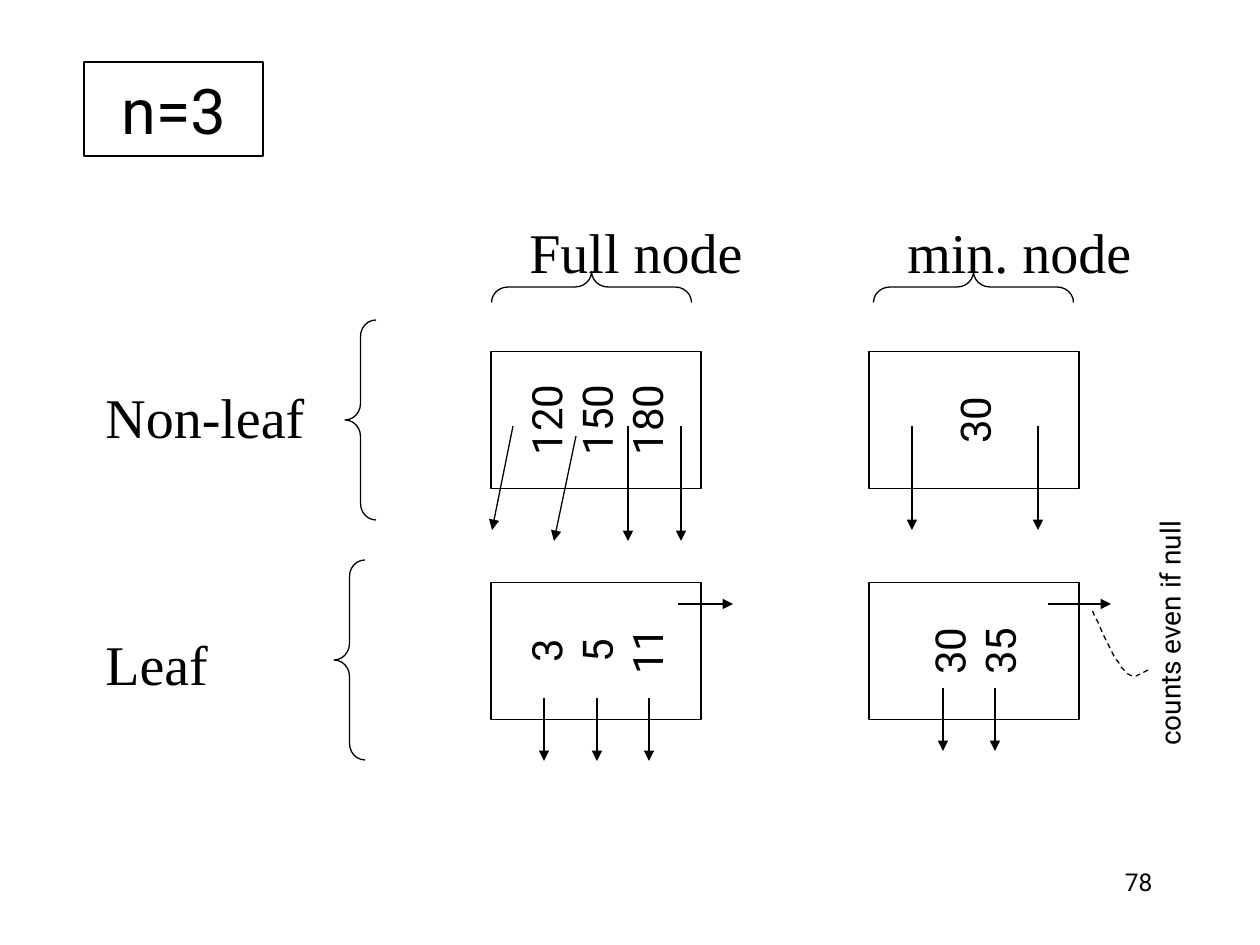
from lxml.etree import SubElement
from pptx import Presentation
from pptx.dml.color import RGBColor
from pptx.enum.dml import MSO_LINE
from pptx.enum.shapes import MSO_CONNECTOR, MSO_SHAPE
from pptx.enum.text import MSO_ANCHOR, PP_ALIGN
from pptx.oxml.ns import qn
from pptx.util import Pt

EMU_PER_PX = 914400 / 126


def px(length):
    return round(length * EMU_PER_PX)


def color(value):
    return RGBColor.from_string(value)


class NodeDiagram:
    INK, PAPER = "000000", "FFFFFF"
    SANS, SERIF = "Roboto", "Times New Roman"

    def __init__(self, slide):
        self.slide = slide

    def outline(self, line):
        line.color.rgb = color(self.INK)
        line.width = Pt(0.75)

    def set_text(self, shape, lines, size, font, align, anchor, wrap):
        frame = shape.text_frame
        frame.word_wrap = wrap
        frame.vertical_anchor = anchor
        frame.text = "\n".join(lines)
        for paragraph in frame.paragraphs:
            paragraph.alignment = align
            paragraph.font.size = Pt(size)
            paragraph.font.name = font
            paragraph.font.color.rgb = color(self.INK)
        return frame.paragraphs

    def text(self, left, top, width, height, lines, size, font=SANS,
             align=PP_ALIGN.LEFT, anchor=MSO_ANCHOR.TOP, wrap=True, rotation=0):
        box = self.slide.shapes.add_textbox(px(left), px(top), px(width), px(height))
        box.rotation = rotation
        return self.set_text(box, lines, size, font, align, anchor, wrap)

    def shape(self, kind, left, top, width, height, rotation=0):
        shape = self.slide.shapes.add_shape(kind, px(left), px(top), px(width), px(height))
        shape.shadow.inherit = False
        shape.rotation = rotation
        self.outline(shape.line)
        return shape

    def box(self, left, top, width, height, lines, size, rotation=0):
        shape = self.shape(MSO_SHAPE.RECTANGLE, left, top, width, height, rotation)
        shape.fill.solid()
        shape.fill.fore_color.rgb = color(self.PAPER)
        self.set_text(shape, lines, size, self.SANS, PP_ALIGN.CENTER, MSO_ANCHOR.MIDDLE, False)

    def node(self, center_x, center_y, keys):
        """Draw a box turned on its side, so that its keys read upwards."""
        width, height = 137, 210
        self.box(center_x - width / 2, center_y - height / 2, width, height, keys, 24, 270)

    def brace(self, left, top, rotation=0):
        shape = self.shape(MSO_SHAPE.LEFT_BRACE, left, top, 31, 200, rotation)
        shape.fill.background()
        shape.adjustments[0] = 0.53

    def arrow(self, x1, y1, x2, y2):
        connector = self.slide.shapes.add_connector(
            MSO_CONNECTOR.STRAIGHT, px(x1), px(y1), px(x2), px(y2))
        self.outline(connector.line)
        properties = connector._element.spPr
        SubElement(properties.find(qn("a:ln")), qn("a:tailEnd"), type="triangle")
        SubElement(properties, qn("a:effectLst"))

    def dashed_curve(self, start, *segments, steps=12):
        """Draw cubic segments, each given as two control points and an end."""
        points = [start]
        for controls in segments:
            corners = (points[-1], *controls)
            for step in range(1, steps + 1):
                t = step / steps
                weights = ((1 - t) ** 3, 3 * t * (1 - t) ** 2, 3 * t * t * (1 - t), t ** 3)
                points.append(tuple(sum(weight * corner[axis] for weight, corner
                                        in zip(weights, corners)) for axis in (0, 1)))
        builder = self.slide.shapes.build_freeform(*start, scale=EMU_PER_PX)
        builder.add_line_segments(points[1:], close=False)
        shape = builder.convert_to_shape()
        shape.shadow.inherit = False
        shape.fill.background()
        self.outline(shape.line)
        shape.line.dash_style = MSO_LINE.DASH


def add_tab_stops(paragraph, *positions):
    tab_list = SubElement(paragraph._p.get_or_add_pPr(), qn("a:tabLst"))
    for position in positions:
        SubElement(tab_list, qn("a:tab"), pos=str(px(position)), algn="l")
    # The default run properties must follow the tab list.
    defaults = paragraph._p.pPr.find(qn("a:defRPr"))
    if defaults is not None:
        tab_list.addnext(defaults)


def main():
    presentation = Presentation()
    presentation.slide_width = px(1260)
    presentation.slide_height = px(945)
    slide = presentation.slides.add_slide(presentation.slide_layouts[6])
    diagram = NodeDiagram(slide)

    diagram.text(903, 861, 262, 63, ["78"], 14, align=PP_ALIGN.RIGHT)
    headings, non_leaf, leaf = diagram.text(
        93, 211, 1071, 561, ["\tFull node\tmin. node", "Non-leaf", "Leaf"],
        32, NodeDiagram.SERIF)
    add_tab_stops(headings, 424, 802)
    non_leaf.space_before = Pt(56)
    leaf.space_before = Pt(103)
    diagram.box(84, 62, 179, 94, ["n=3"], 36)

    diagram.brace(345, 320)
    diagram.brace(334, 560)

    full_x, minimum_x = 596, 974
    non_leaf_y, leaf_y = 420, 651
    diagram.node(full_x, non_leaf_y, ["120", "150", "180"])
    diagram.node(minimum_x, non_leaf_y, ["30"])
    diagram.node(full_x, leaf_y, ["3", "5", "11"])
    diagram.node(minimum_x, leaf_y, ["30", "35"])

    for x in (912, 1038):
        diagram.arrow(x, 426, x, 530)
    diagram.arrow(513, 426, 492, 530)
    diagram.arrow(576, 436, 554, 541)
    for x in (628, 681):
        diagram.arrow(x, 426, x, 541)
    for x in (544, 597, 649):
        diagram.arrow(x, 698, x, 761)
    for x in (943, 995):
        diagram.arrow(x, 688, x, 751)
    for start, end in ((678, 733), (1048, 1111)):
        diagram.arrow(start, 604, end, 604)

    for left in (576, 958):
        diagram.brace(left, 187, 90)
    diagram.text(1038, 610, 263, 47, ["counts even if null"], 16, align=PP_ALIGN.CENTER,
                 anchor=MSO_ANCHOR.MIDDLE, wrap=False, rotation=270)
    diagram.dashed_curve((1148, 670), ((1140, 675), (1133, 680), (1124, 670)),
                         ((1114, 660), (1097, 620), (1092, 609)))

    presentation.save("out.pptx")


if __name__ == "__main__":
    main()
